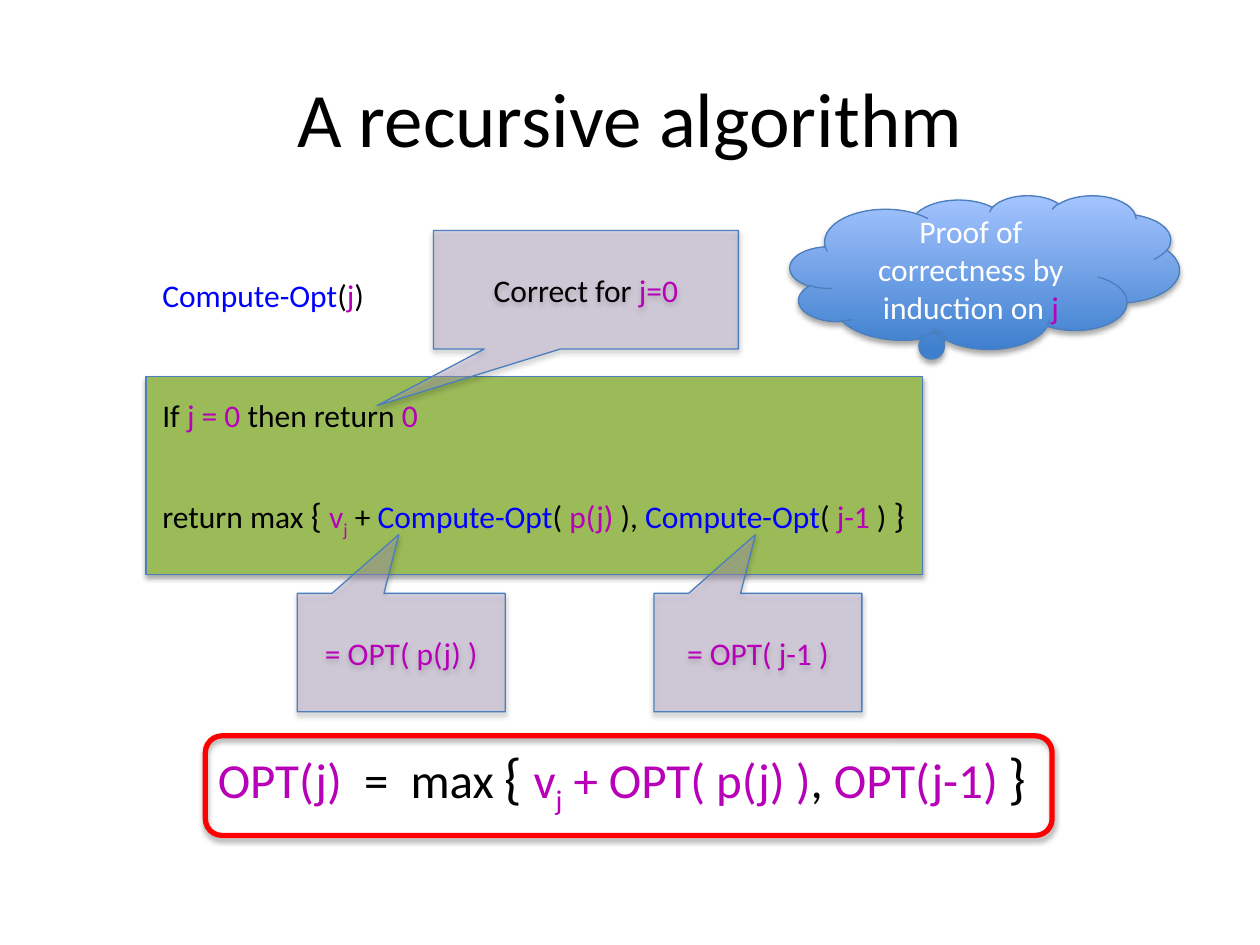
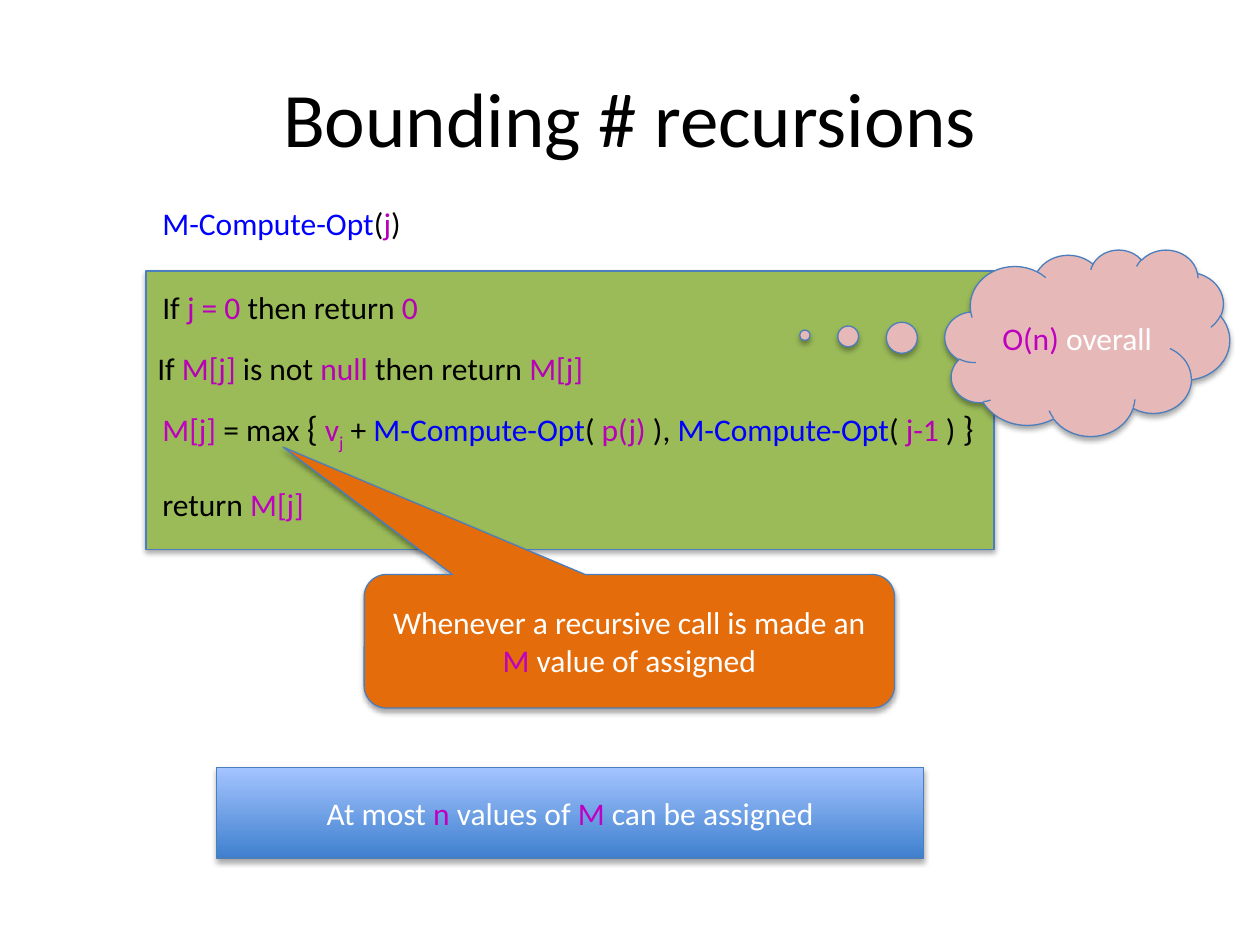
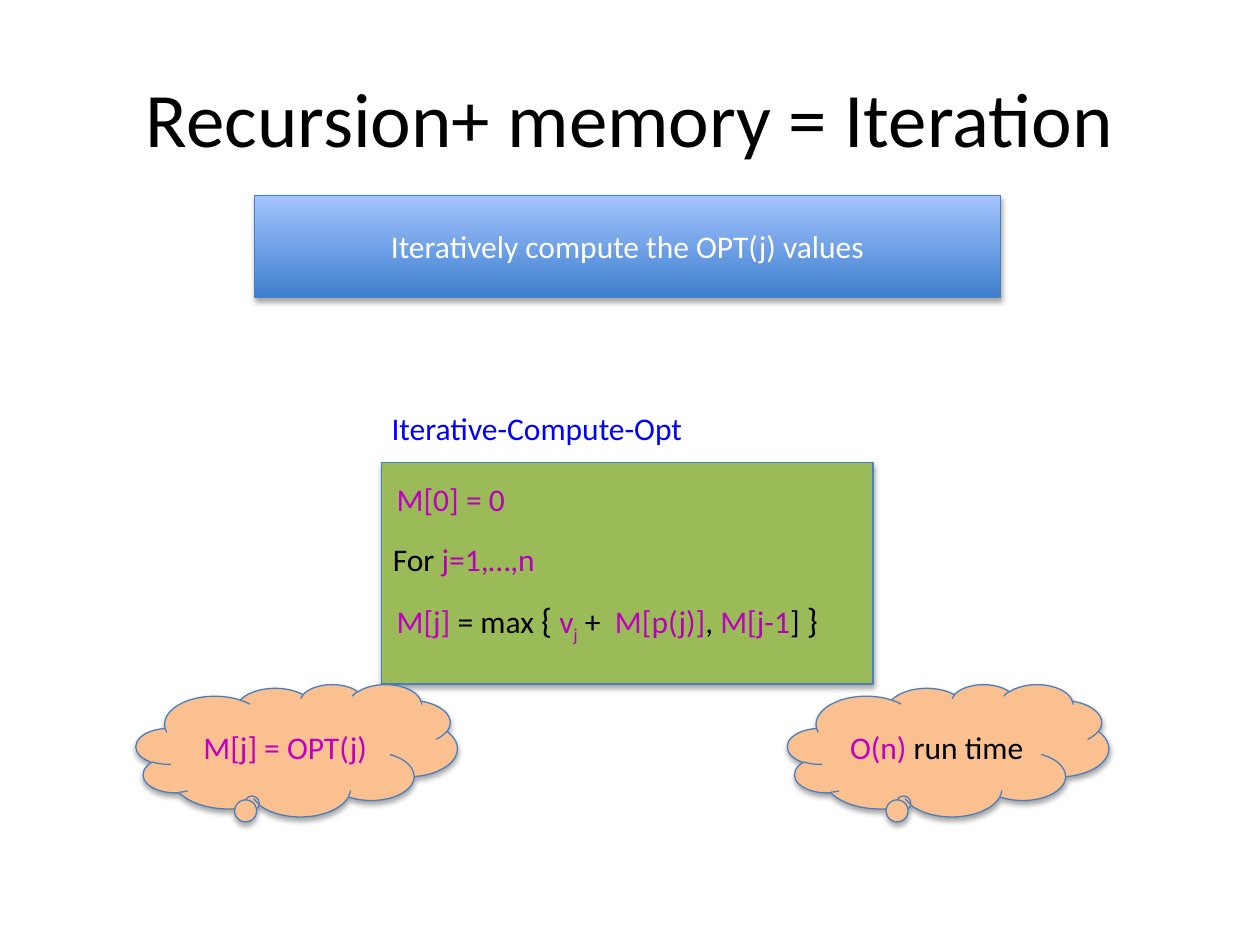
from pptx import Presentation
from pptx.dml.color import RGBColor
from pptx.enum.shapes import MSO_SHAPE as SHAPE
from pptx.enum.text import MSO_ANCHOR as ANCHOR, MSO_AUTO_SIZE as AUTO_SIZE, PP_ALIGN as ALIGN
from pptx.oxml import parse_xml
from pptx.oxml.ns import nsdecls, qn
from pptx.util import Inches, Pt

FONT = "Calibri"
BLACK, WHITE, RED = "000000", "FFFFFF", "FF0000"
CALL_BLUE = "0000FF"
MATH, MEMO = "B700B7", "C000C0"
OUTLINE = "4B7EBC"
CODE_GREEN = "9BBB59"
LILAC, ORANGE, PINK, PEACH = "B3A2C7", "E46C0A", "E6B9B8", "FAC090"
BLUE_GRADIENT = ("3F80CE", "A4C4FF")
SUBSCRIPT = "-25000"

SHADOW = (
    f'<a:outerShdw {nsdecls("a")} blurRad="40000" dist="23000" dir="5400000" rotWithShape="0">'
    '<a:srgbClr val="000000"><a:alpha val="35000"/></a:srgbClr></a:outerShdw>'
)

# Formulas that open the recurrence: { v_j
BEST_OF = [("{", BLACK), (" ", BLACK), ("v", MATH), ("j", MATH, SUBSCRIPT)]
BASE_CASE = [("If ", BLACK), ("j = 0 ", MATH), ("then return ", BLACK), ("0", MATH)]


def rgb(value):
    return RGBColor.from_string(value)


def write(paragraph, runs, size=18, brace_size=20):
    """Add (text, colour[, baseline]) runs; lone braces are set larger."""
    for text, color, *baseline in runs:
        run = paragraph.add_run()
        run.text = text
        point_size = brace_size if text in ("{", "}") else size
        for name, value in {"name": FONT, "size": Pt(point_size)}.items():
            setattr(run.font, name, value)
        run.font.color.rgb = rgb(color)
        if baseline:
            run.font._element.set("baseline", baseline[0])


def add_titled_slide(prs, title):
    slide = prs.slides.add_slide(prs.slide_layouts[5])
    heading = slide.shapes.title
    place = {"left": 0.5, "top": 0.3, "width": 9, "height": 1.25}
    for name, value in place.items():
        setattr(heading, name, Inches(value))
    heading.text_frame.vertical_anchor = ANCHOR.MIDDLE
    paragraph = heading.text_frame.paragraphs[0]
    paragraph.alignment = ALIGN.CENTER
    write(paragraph, [(title, BLACK)], size=44)
    return slide.shapes


def add_line_of_text(shapes, left, top, width, runs, height=0.4, **sizes):
    box = shapes.add_textbox(*map(Inches, (left, top, width, height)))
    box.text_frame.word_wrap = False
    box.text_frame.auto_size = AUTO_SIZE.SHAPE_TO_FIT_TEXT
    write(box.text_frame.paragraphs[0], runs, **sizes)


def paint(shape, fill, alpha=None):
    """Fill with nothing, one colour, or a bottom-to-top pair of colours."""
    if fill is None:
        shape.fill.background()
    elif isinstance(fill, tuple):
        shape.fill.gradient()
        shape.fill.gradient_angle = 90
        for stop, color in zip(shape.fill.gradient_stops, fill):
            stop.color.rgb = rgb(color)
    else:
        shape.fill.solid()
        shape.fill.fore_color.rgb = rgb(fill)
        if alpha:
            color = shape._element.spPr.find(qn("a:solidFill"))[0]
            color.append(parse_xml(f'<a:alpha {nsdecls("a")} val="{alpha * 1000}"/>'))


def add_panel(shapes, kind, place, fill, runs=(), adjust=(), alpha=None,
              line=OUTLINE, line_width=0.75):
    panel = shapes.add_shape(kind, *map(Inches, place))
    for index, value in enumerate(adjust):
        panel.adjustments[index] = value
    paint(panel, fill, alpha)
    panel.line.color.rgb = rgb(line)
    panel.line.width = Pt(line_width)
    panel.shadow.inherit = False
    panel._element.spPr.find(qn("a:effectLst")).append(parse_xml(SHADOW))
    if runs:
        panel.text_frame.word_wrap = True
        panel.text_frame.vertical_anchor = ANCHOR.MIDDLE
        paragraph = panel.text_frame.paragraphs[0]
        paragraph.alignment = ALIGN.CENTER
        write(paragraph, runs)


def signature(name):
    return [(name, CALL_BLUE), ("(", BLACK), ("j", MATH), (")", BLACK)]


def recursive_max(name):
    return BEST_OF + [
        (" + ", BLACK), (name, CALL_BLUE), ("( ", BLACK), ("p(j)", MATH), (" ), ", BLACK),
        (name, CALL_BLUE), ("( ", BLACK), ("j-1", MATH), (" ) ", BLACK), ("}", BLACK),
    ]


def add_recursive_algorithm(prs):
    shapes = add_titled_slide(prs, "A recursive algorithm")
    add_panel(shapes, SHAPE.RECTANGLE, (1.16, 2.99, 6.16, 1.57), CODE_GREEN)
    add_line_of_text(shapes, 1.19, 2.14, 1.82, signature("Compute-Opt"))
    add_line_of_text(shapes, 1.19, 3.09, 2.25, BASE_CASE)
    add_line_of_text(shapes, 1.19, 3.87, 6.15,
                     [("return max ", BLACK)] + recursive_max("Compute-Opt"), height=0.44)
    recurrence = [("OPT(j)  ", MATH), ("=  max ", BLACK)] + BEST_OF + [
        (" + OPT( p(j) )", MATH), (", ", BLACK), ("OPT(j-1) ", MATH), ("}", BLACK)]
    add_line_of_text(shapes, 1.63, 5.84, 6.72, recurrence, height=0.64, size=28, brace_size=32)
    add_panel(shapes, SHAPE.CLOUD_CALLOUT, (6.27, 1.55, 3.09, 1.22), BLUE_GRADIENT,
              [("Proof of correctness by induction on ", WHITE), ("j", MATH)], (-0.124, 0.439))
    below = (-0.012, -0.995)
    for left, top, width, runs, tip in (
        (3.44, 1.83, 2.42, [("Correct for ", BLACK), ("j=0", MATH)], (-0.685, 0.979)),
        (2.36, 4.71, 1.65, [("= OPT( p(j) )", MATH)], below),
        (5.19, 4.71, 1.65, [("= OPT( j-1 )", MATH)], below),
    ):
        add_panel(shapes, SHAPE.RECTANGULAR_CALLOUT, (left, top, width, 0.94), LILAC,
                  runs, tip, alpha=37)
    add_panel(shapes, SHAPE.ROUNDED_RECTANGLE, (1.63, 5.84, 6.72, 0.79), None,
              line=RED, line_width=3)


def add_bounding_recursions(prs):
    shapes = add_titled_slide(prs, "Bounding # recursions")
    add_line_of_text(shapes, 1.19, 1.57, 2.12, signature("M-Compute-Opt"))
    add_panel(shapes, SHAPE.RECTANGLE, (1.16, 2.15, 6.73, 2.21), CODE_GREEN)
    add_line_of_text(shapes, 1.19, 2.24, 2.25, BASE_CASE)
    add_line_of_text(shapes, 1.19, 3.18, 6.71,
                     [("M[j] ", MEMO), ("= max ", BLACK)] + recursive_max("M-Compute-Opt"),
                     height=0.44)
    add_line_of_text(shapes, 1.15, 2.72, 3.61, [
        ("If ", BLACK), ("M[j] ", MATH), ("is not ", BLACK), ("null ", MATH),
        ("then return ", BLACK), ("M[j]", MATH)])
    add_line_of_text(shapes, 1.19, 3.8, 1.34, [("return ", BLACK), ("M[j]", MEMO)])
    add_panel(shapes, SHAPE.ROUNDED_RECTANGULAR_CALLOUT, (2.89, 4.56, 4.21, 1.06), ORANGE,
              [("Whenever a recursive call is made an ", WHITE), ("M", MEMO),
               (" value of assigned", WHITE)], (-0.653, -1.454, 0.167))
    add_panel(shapes, SHAPE.RECTANGLE, (1.72, 6.09, 5.61, 0.72), BLUE_GRADIENT,
              [("At most ", WHITE), ("n", MEMO), (" values of ", WHITE), ("M", MEMO),
               (" can be assigned", WHITE)])
    add_panel(shapes, SHAPE.CLOUD_CALLOUT, (7.5, 1.98, 2.26, 1.48), PINK,
              [("O(n) ", MEMO), ("overall", WHITE)], (-0.992, -0.04))


def add_iteration(prs):
    shapes = add_titled_slide(prs, "Recursion+ memory = Iteration")
    add_panel(shapes, SHAPE.RECTANGLE, (2.02, 1.55, 5.92, 0.81), BLUE_GRADIENT,
              [("Iteratively compute the OPT(j) values", WHITE)])
    code = shapes.add_group_shape().shapes
    add_panel(code, SHAPE.RECTANGLE, (3.03, 3.67, 3.9, 1.76), CODE_GREEN)
    add_line_of_text(code, 3.05, 3.76, 1.07, [("M[0] ", MEMO), ("= 0", MATH)])
    update = [("M[j] ", MEMO), ("= max ", BLACK)] + BEST_OF + [
        (" +  ", BLACK), ("M[", MEMO), ("p(j)]", MATH), (", ", BLACK),
        ("M[", MEMO), ("j-1", MATH), ("] ", BLACK), ("}", BLACK)]
    add_line_of_text(code, 3.05, 4.7, 3.64, update, height=0.44)
    add_line_of_text(code, 3.02, 4.24, 1.34, [("For ", BLACK), ("j=1,…,n", MATH)])
    add_line_of_text(shapes, 3.01, 3.2, 2.53, [("Iterative-Compute-Opt", CALL_BLUE)])
    for left, runs in (
        (1.08, [("M[j] = OPT(j)", MEMO)]),
        (6.25, [("O(n) ", MEMO), ("run time", BLACK)]),
    ):
        add_panel(shapes, SHAPE.CLOUD_CALLOUT, (left, 5.43, 2.55, 1.05), PEACH,
                  runs, (-0.134, 0.386))


def main():
    prs = Presentation()
    prs.slide_width, prs.slide_height = Inches(10), Inches(7.5)
    add_recursive_algorithm(prs)
    add_bounding_recursions(prs)
    add_iteration(prs)
    prs.save("out.pptx")


if __name__ == "__main__":
    main()
